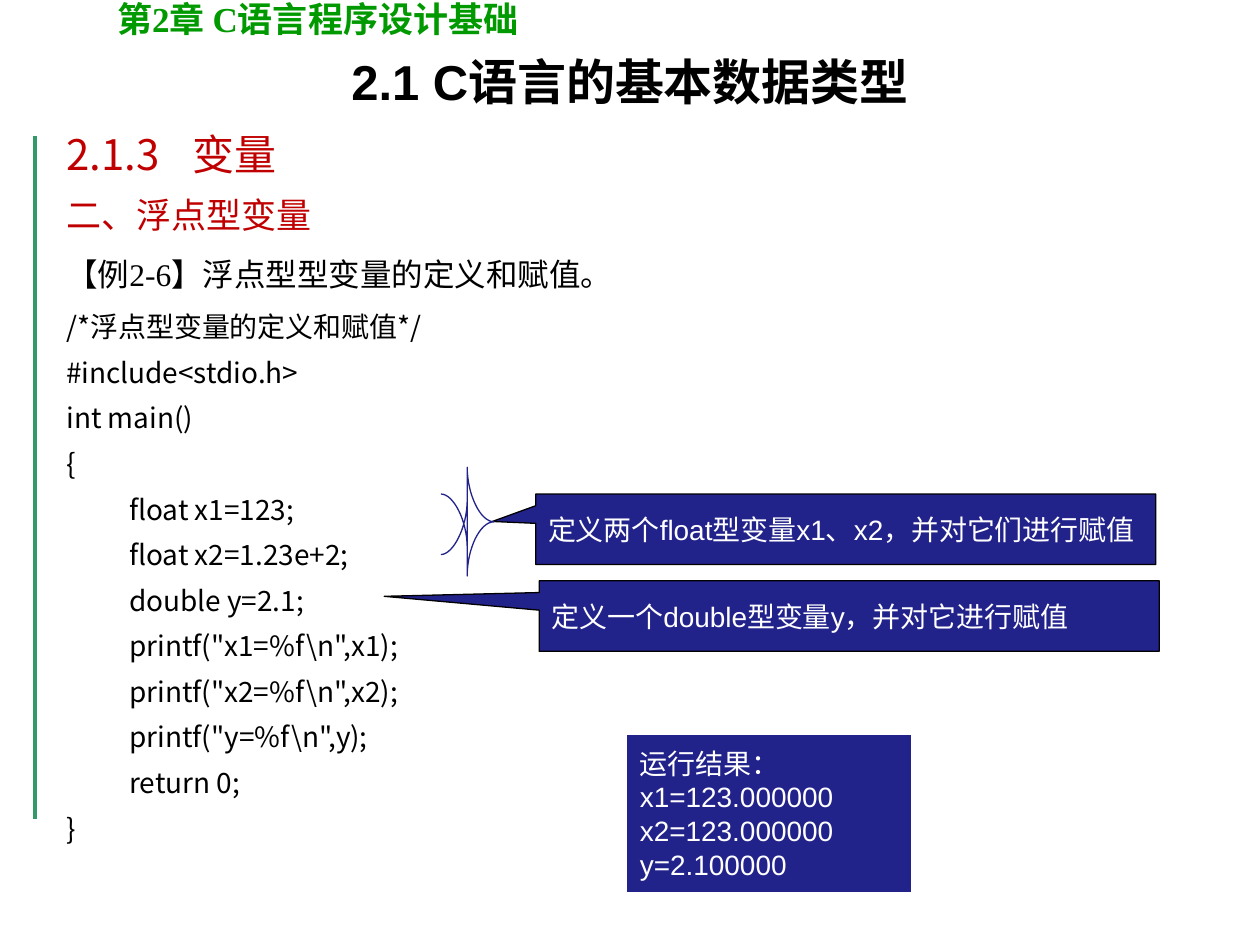
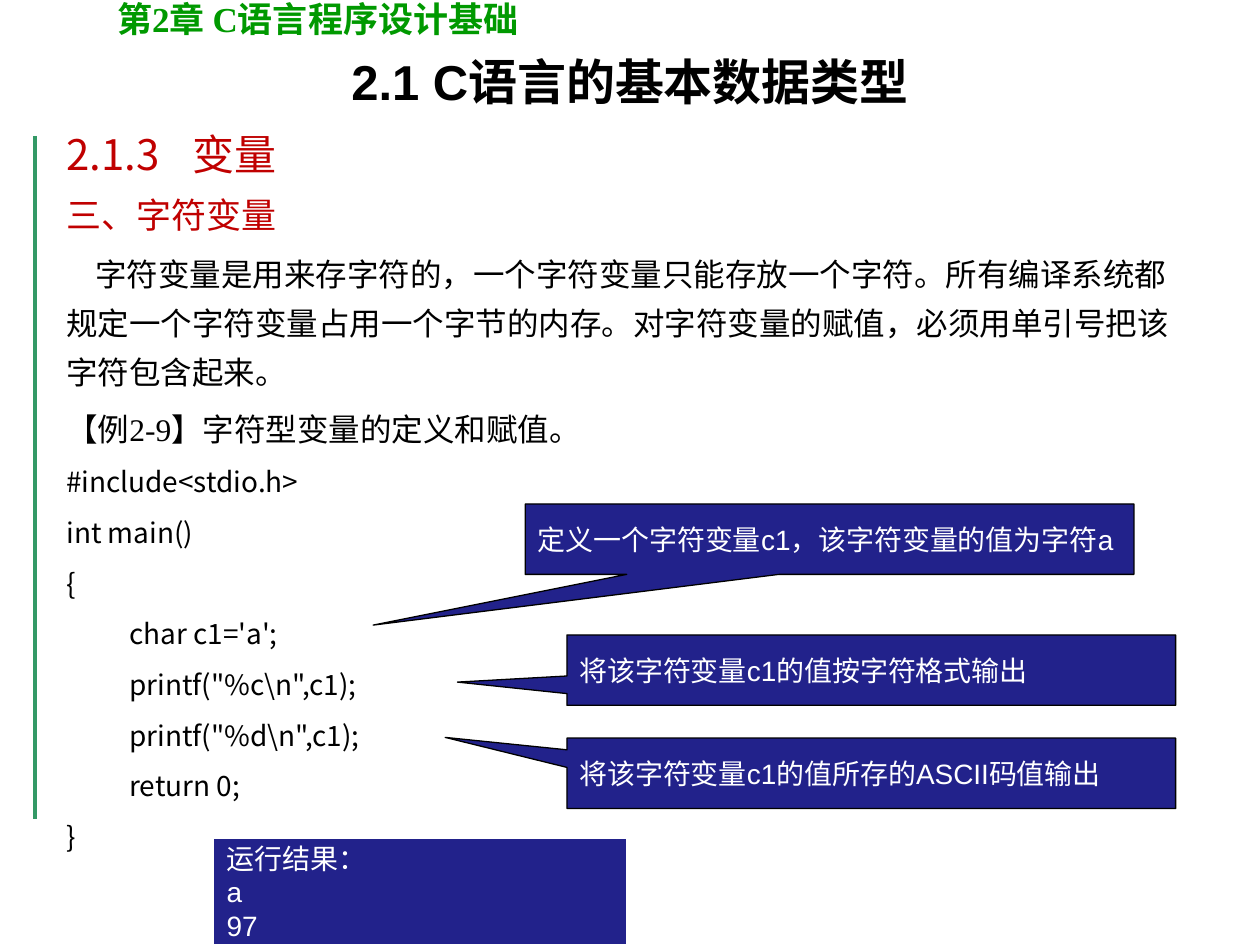
from lxml.etree import SubElement
from pptx import Presentation
from pptx.dml.color import RGBColor as Rgb
from pptx.enum.shapes import MSO_CONNECTOR as Conn, MSO_SHAPE as Geom
from pptx.enum.text import MSO_ANCHOR as Anchor, PP_ALIGN as Align
from pptx.oxml.ns import qn
from pptx.util import Cm, Pt

HUES = {"ink": "000000", "head": "009900", "rule": "339966",
        "red": "C00000", "navy": "22228B", "white": "FFFFFF"}
SANS, TIMES, ARIAL = "Noto Sans CJK SC", "Times New Roman", "Arial"

CHAPTER = "第2章 C语言程序设计基础"
TITLE = "2.1 C语言的基本数据类型"
TOPIC = "2.1.3\t变量"

# style: size, font, colour, bold, line spacing, space before
STYLES = {
    "head": (20, TIMES, "head", True, 1, 0),
    "title": (28, ARIAL, "ink", True, 1, 0),
    "topic": (24, SANS, "red", False, 1.15, 6),
    "part": (20, SANS, "red", False, 1.15, 5),
    "body": (18, SANS, "ink", False, 1.3, 4.5),
    "case": (18, TIMES, "ink", False, 1.3, 4.5),
    "loose": (16, SANS, "ink", False, 1.3, 4),
    "code": (16, SANS, "ink", False, 1.15, 4),
    "note": (16, ARIAL, "white", False, 1, 0),
}

FLOAT = {
    "text": [("part", "二、浮点型变量"),
             ("case", "【例2-6】浮点型型变量的定义和赋值。"),
             ("loose", "/*浮点型变量的定义和赋值*/")],
    "style": "code",
    "code": ["#include<stdio.h>", "int main()", "{",
             "\tfloat x1=123;", "\tfloat x2=1.23e+2;", "\tdouble y=2.1;",
             '\tprintf("x1=%f\\n",x1);', '\tprintf("x2=%f\\n",x2);',
             '\tprintf("y=%f\\n",y);', "\treturn 0;", "}"],
    "wide": 12.5,
    "notes": [
        (10.8, 9.96, -0.57, -0.11, "定义两个float型变量x1、x2，并对它们进行赋值"),
        (10.87, 11.71, -0.75, -0.28, "定义一个double型变量y，并对它进行赋值")],
    "result": ((12.65, 14.81, 5.72, 3.18),
               ["运行结果：", "x1=123.000000 x2=123.000000", "y=2.100000"]),
}
CHAR = {
    "text": [("part", "三、字符变量"),
             ("body", "字符变量是用来存字符的，一个字符变量只能存放一个字符。"
                      "所有编译系统都规定一个字符变量占用一个字节的内存。"
                      "对字符变量的赋值，必须用单引号把该字符包含起来。"),
             ("case", "【例2-9】字符型变量的定义和赋值。")],
    "style": "loose",
    "code": ["#include<stdio.h>", "int main()", "{", "\tchar c1='a';",
             '\tprintf("%c\\n",c1);', '\tprintf("%d\\n",c1);',
             "\treturn 0;", "}"],
    "wide": 12.27,
    "notes": [
        (10.59, 10.16, -0.75, 1.22, "定义一个字符变量c1，该字符变量的值为字符a"),
        (11.43, 12.8, -0.68, 0.17, "将该字符变量c1的值按字符格式输出"),
        (11.43, 14.88, -0.7, -0.51, "将该字符变量c1的值所存的ASCII码值输出")],
    "result": ((4.32, 16.92, 8.31, 2.11), ["运行结果：", "a", "97"]),
}

NOTE_H = 1.42
BRACE = [
    [(8.89, 9.96), (9.14, 9.96), (9.42, 10.49), (9.42, 11.05)],
    [(9.42, 9.42), (9.42, 9.96), (9.68, 10.52), (9.96, 10.52)],
    [(9.96, 10.52), (9.68, 10.52), (9.42, 11.05), (9.42, 11.61)],
    [(9.42, 10.08), (9.42, 10.62), (9.14, 11.18), (8.89, 11.18)],
]


def hue(name):
    return Rgb.from_string(HUES[name])


def write(frame, lines):
    frame.word_wrap = True
    for i, (style, text) in enumerate(lines):
        para = frame.paragraphs[0] if i == 0 else frame.add_paragraph()
        size, face, tint, bold, space, before = STYLES[style]
        para.text = text
        para.alignment = Align.CENTER if style == "title" else Align.LEFT
        para.line_spacing = space
        if i:
            para.space_before = Pt(before)
        if style == "body":
            para._p.get_or_add_pPr().set("indent", str(Cm(0.58)))
        font = para.font
        font.size, font.name, font.bold = Pt(size), face, bold
        font.color.rgb = hue(tint)
        SubElement(font._element, qn("a:ea")).set("typeface", SANS)


def put_text(slide, box, lines):
    write(slide.shapes.add_textbox(*map(Cm, box)).text_frame, lines)


def put_box(slide, kind, box, lines):
    shape = slide.shapes.add_shape(kind, *map(Cm, box))
    shape.shadow.inherit = False
    shape.fill.solid()
    shape.fill.fore_color.rgb = hue("navy")
    shape.line.fill.background()
    shape.text_frame.vertical_anchor = Anchor.MIDDLE
    write(shape.text_frame, [("note", line) for line in lines])
    return shape


def put_note(slide, left, top, wide, tip, text):
    note = put_box(slide, Geom.RECTANGULAR_CALLOUT,
                   (left, top, wide, NOTE_H), [text])
    note.adjustments[0], note.adjustments[1] = tip
    note.line.color.rgb = hue("ink")
    note.line.width = Pt(0.75)


def curve(ends, steps=16):
    for i in range(steps + 1):
        t = i / steps
        u = 1 - t
        parts = (u ** 3, 3 * u * u * t, 3 * u * t * t, t ** 3)
        yield tuple(Cm(sum(w * p[k] for w, p in zip(parts, ends)))
                    for k in (0, 1))


def put_brace(slide):
    dots = [dot for ends in BRACE for dot in curve(ends)]
    path = slide.shapes.build_freeform(*dots[0], scale=1.0)
    path.add_line_segments(dots[1:], close=False)
    brace = path.convert_to_shape()
    brace.shadow.inherit = False
    brace.fill.background()
    brace.line.color.rgb = hue("navy")
    brace.line.width = Pt(0.75)


def put_frame(slide):
    rule = slide.shapes.add_connector(
        Conn.STRAIGHT, Cm(0.71), Cm(2.74), Cm(0.71), Cm(16.51))
    rule.line.color.rgb = hue("rule")
    rule.line.width = Pt(2.25)
    SubElement(rule._element.spPr, qn("a:effectLst"))
    put_text(slide, (2.11, -0.18, 14.61, 1.12), [("head", CHAPTER)])


def build(deck, page):
    slide = deck.slides.add_slide(deck.slide_layouts[6])
    put_frame(slide)
    put_text(slide, (1.09, 0.91, 23.22, 16.3),
             [("title", TITLE), ("topic", TOPIC)] + page["text"]
             + [(page["style"], line) for line in page["code"]])
    for left, top, x, y, text in page["notes"]:
        put_note(slide, left, top, page["wide"], (x, y), text)
    box, lines = page["result"]
    put_box(slide, Geom.FLOWCHART_PROCESS, box, lines)
    return slide


def main():
    deck = Presentation()
    deck.slide_width, deck.slide_height = Cm(25.4), Cm(19.05)
    put_brace(build(deck, FLOAT))
    build(deck, CHAR)
    deck.save("out.pptx")


if __name__ == "__main__":
    main()
